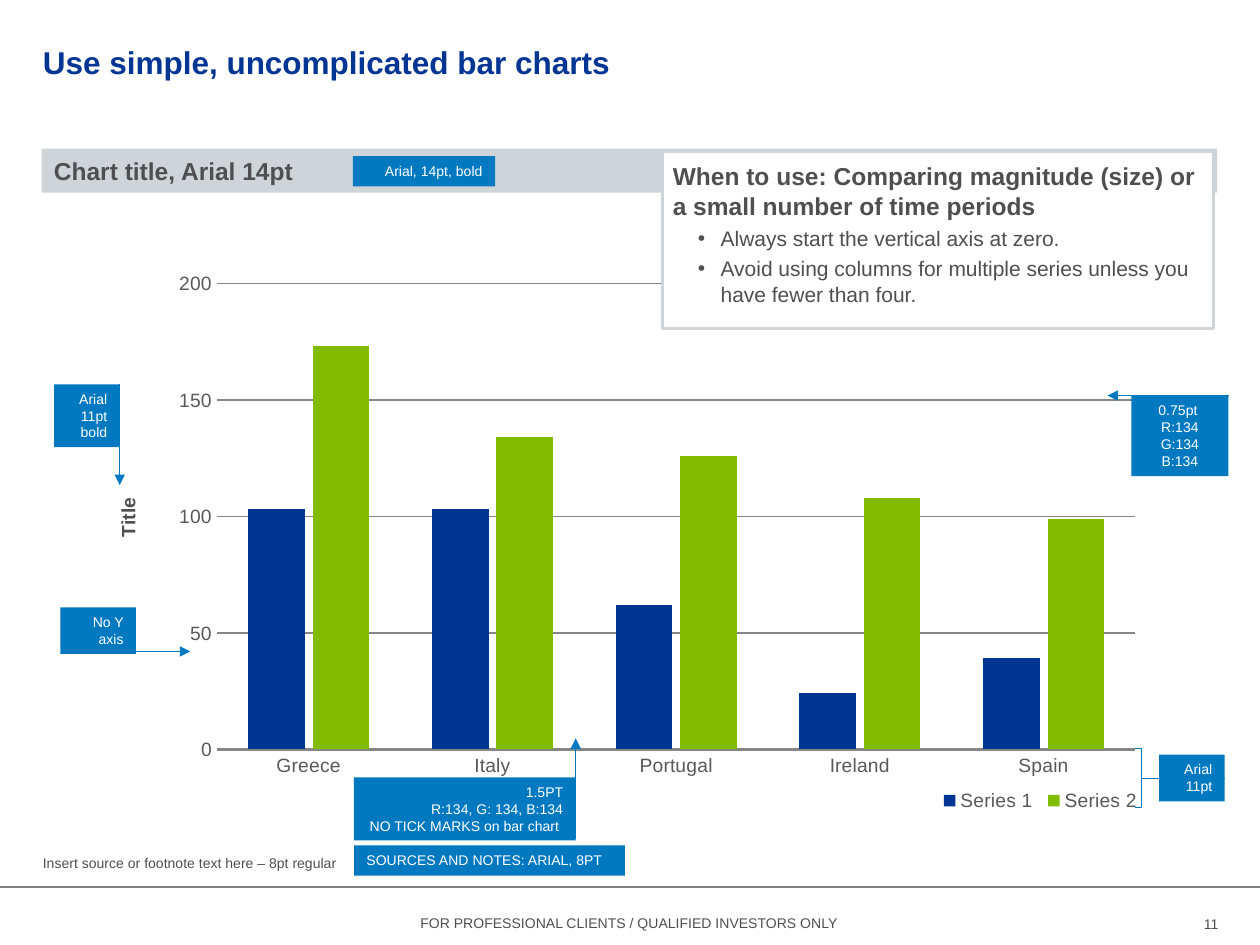
import pptx
import pptx.chart.data
import pptx.dml.color
import pptx.enum.chart
import pptx.enum.shapes
import pptx.enum.text
import pptx.oxml
import pptx.oxml.ns
import pptx.util
from lxml import etree

RGB = pptx.dml.color.RGBColor.from_string
SHAPE = pptx.enum.shapes.MSO_SHAPE
ALIGN = pptx.enum.text.PP_ALIGN
ANCHOR = pptx.enum.text.MSO_ANCHOR
qn = pptx.oxml.ns.qn

THEME = {
    "font": "Arial",
    "navy": "003594", "green": "82BC00", "blue": "0079C1", "white": "FFFFFF",
    "text": "4F4E50", "axis_text": "595959", "axis": "868686",
    "band": "CFD4D8", "rule": "7F7F7F",
    "title": 18, "heading": 14, "bullet": 12, "chart": 11, "small": 8,
}

prs = pptx.Presentation()
prs.slide_width, prs.slide_height = pptx.util.Inches(10), pptx.util.Inches(7.5)
COL, ROW = prs.slide_width / 100, prs.slide_height / 75  # 100 columns, 75 rows


def grid(x, y, w, h):
    return [round(n * unit) for n, unit in zip((x, y, w, h), (COL, ROW, COL, ROW))]


def write(tf, text, size="small", color="text", bold=False, align=ALIGN.LEFT,
          anchor=ANCHOR.TOP, insets=(0.1, 0.05, 0.1, 0.05), before=0, bullet=False, more=False):
    """Write one paragraph per line of text; more=True adds to what is there."""
    tf.word_wrap = True
    tf.auto_size = pptx.enum.text.MSO_AUTO_SIZE.NONE
    tf.vertical_anchor = anchor
    tf.margin_left, tf.margin_top, tf.margin_right, tf.margin_bottom = map(pptx.util.Inches, insets)
    for i, line in enumerate(text.split("\n")):
        p = tf.add_paragraph() if more or i else tf.paragraphs[0]
        p.alignment = align
        p.space_before = pptx.util.Pt(before)
        r = p.add_run()
        r.text = line
        r.font.name, r.font.size, r.font.bold = THEME["font"], pptx.util.Pt(THEME[size]), bold
        r.font.color.rgb = RGB(THEME[color])
        if bullet:
            pPr = p._p.get_or_add_pPr()
            pPr.set("marL", str(pptx.util.Inches(0.38)))
            pPr.set("indent", str(pptx.util.Inches(-0.18)))
            clr = etree.SubElement(pPr, qn("a:buClr"))
            etree.SubElement(clr, qn("a:srgbClr"), val=THEME[color])
            etree.SubElement(pPr, qn("a:buFont"), typeface=THEME["font"])
            etree.SubElement(pPr, qn("a:buChar"), char="•")


# Title
s = prs.slides.add_slide(prs.slide_layouts[5])
sp = s.shapes.title
sp.left, sp.top, sp.width, sp.height = grid(3.4, 1.6, 92.9, 6.6)
write(sp.text_frame, "Use simple, uncomplicated bar charts", size="title", color="navy",
      bold=True, anchor=ANCHOR.MIDDLE, insets=(0, 0, 0, 0))

# Chart
data = pptx.chart.data.CategoryChartData()
data.categories = ["Greece", "Italy", "Portugal", "Ireland", "Spain"]
data.add_series("Series 1", (103, 103, 62, 24, 39))
data.add_series("Series 2", (173, 134, 126, 108, 99))
chart = s.shapes.add_chart(pptx.enum.chart.XL_CHART_TYPE.COLUMN_CLUSTERED,
                           *grid(8, 20.7, 83.8, 45.1), data).chart
chart.has_title = False
chart.font.name, chart.font.size = THEME["font"], pptx.util.Pt(THEME["chart"])
chart.font.color.rgb = RGB(THEME["axis_text"])
plot = chart.plots[0]
plot.gap_width, plot.overlap, plot.vary_by_categories = 111, -14, False
for series, color in zip(plot.series, ("navy", "green")):
    series.format.fill.solid()
    series.format.fill.fore_color.rgb = RGB(THEME[color])

cat, val = chart.category_axis, chart.value_axis
for axis in (cat, val):
    axis.major_tick_mark = axis.minor_tick_mark = pptx.enum.chart.XL_TICK_MARK.NONE
val.minimum_scale, val.maximum_scale, val.major_unit = 0, 200, 50
val.format.line.fill.background()
for line, width in ((cat.format.line, 1.5), (val.major_gridlines.format.line, 0.75)):
    line.color.rgb, line.width = RGB(THEME["axis"]), pptx.util.Pt(width)
p = val.axis_title.text_frame.paragraphs[0]
r = p.add_run()
r.text = "Title"
r.font.name, r.font.size, r.font.bold = THEME["font"], pptx.util.Pt(THEME["chart"]), True
r.font.color.rgb = RGB(THEME["text"])
chart.has_legend = True
chart.legend.position = pptx.enum.chart.XL_LEGEND_POSITION.BOTTOM
chart.legend.include_in_layout = False

# Chart layout, as shares of the chart's size
C = "{http://schemas.openxmlformats.org/drawingml/2006/chart}"
for owner, after, box in (
    (chart._chartSpace.chart.plotArea, None, {"x": 0.11, "y": 0.04, "w": 0.87, "h": 0.82}),
    (chart.legend._element, "legendPos", {"x": 0.79, "y": 0.92, "w": 0.2, "h": 0.06}),
    (val.axis_title._element, "tx", {"x": 0.01, "y": 0.41}),
):
    for old in owner.findall(C + "layout"):
        owner.remove(old)
    layout = etree.Element(C + "layout")
    owner.insert(0 if after is None else owner.index(owner.find(C + after)) + 1, layout)
    manual = etree.SubElement(layout, C + "manualLayout")
    if after is None:
        etree.SubElement(manual, C + "layoutTarget", val="inner")
    for axis in ("x", "y"):
        etree.SubElement(manual, C + axis + "Mode", val="edge")
    for key, share in box.items():
        etree.SubElement(manual, C + key, val=str(share))

# Filled boxes: band, advice panel, callouts
RIGHT, CENTER, LEFT = ALIGN.RIGHT, ALIGN.CENTER, ALIGN.LEFT
callout = {"color": "white"}
boxes = [
    ((3.3, 11.8, 93.3, 3.5), "band", "Chart title, Arial 14pt",
     {"size": "heading", "bold": True, "anchor": ANCHOR.MIDDLE}),
    ((52.6, 12, 43.7, 14.1), "white",
     "When to use: Comparing magnitude (size) or a small number of time periods",
     {"size": "heading", "bold": True, "before": 3, "insets": (0.08, 0.08, 0.04, 0.04)}),
]
boxes += [(box, "blue", text, {"color": "white", "align": align}) for box, text, align in (
    ((28.1, 67.1, 21.5, 2.4), "SOURCES AND NOTES: ARIAL, 8PT", LEFT),
    ((89.8, 31.4, 7.7, 6.4), "0.75pt \nR:134 G:134 B:134", CENTER),
    ((4.3, 30.5, 5.2, 5), "Arial\n11pt\nbold", RIGHT),
    ((28.1, 61.7, 17.6, 5), "1.5PT\nR:134, G: 134, B:134\nNO TICK MARKS on bar chart ", RIGHT),
    ((4.8, 48.2, 6, 3.7), "No Y axis", RIGHT),
    ((28, 12.4, 11.3, 2.4), "Arial, 14pt, bold", RIGHT),
    ((92, 59.9, 5.2, 3.7), "Arial\n11pt", RIGHT),
)]
for box, fill, text, fmt in boxes:
    sp = s.shapes.add_shape(SHAPE.RECTANGLE, *grid(*box))
    sp.shadow.inherit = False
    sp.fill.solid()
    sp.fill.fore_color.rgb = RGB(THEME[fill])
    sp.line.fill.background()
    write(sp.text_frame, text, **fmt)
    if fill == "white":
        sp.line.color.rgb, sp.line.width = RGB(THEME["band"]), pptx.util.Pt(1.75)
        write(sp.text_frame, "Always start the vertical axis at zero.\n"
              "Avoid using columns for multiple series unless you have fewer than four.",
              size="bullet", before=3, insets=fmt["insets"], bullet=True, more=True)

# Bracket around the axis labels and legend
sp = s.shapes.add_shape(SHAPE.RIGHT_BRACKET, *grid(90.1, 59.4, 0.5, 4.7))
sp.adjustments[0] = 0
sp.shadow.inherit = False
sp.fill.background()
sp.line.color.rgb, sp.line.width = RGB(THEME["blue"]), pptx.util.Pt(0.75)

# Footer rule, bracket stem and callout arrows (start, end)
for ends, color, arrow in (
    ((0, 70.4, 100, 70.4), "rule", False),
    ((90.6, 61.8, 97.2, 61.8), "blue", False),
    ((97.5, 31.4, 87.9, 31.4), "blue", True),
    ((9.5, 30.5, 9.5, 38.5), "blue", True),
    ((45.7, 66.6, 45.7, 58.6), "blue", True),
    ((7.4, 51.7, 15.1, 51.7), "blue", True),
):
    cx = s.shapes.add_connector(pptx.enum.shapes.MSO_CONNECTOR.STRAIGHT, *grid(*ends))
    cx.line.color.rgb, cx.line.width = RGB(THEME[color]), pptx.util.Pt(0.75)
    if arrow:
        etree.SubElement(cx.line._get_or_add_ln(), qn("a:tailEnd"), type="triangle")
    etree.SubElement(cx._element.spPr, qn("a:effectLst"))

# Footnote, disclaimer and page number
flush = (0, 0, 0, 0)
for box, text, fmt in (
    ((3.4, 67.8, 92.9, 1.3), "Insert source or footnote text here – 8pt regular", {"insets": flush}),
    ((16.4, 72.1, 67.1, 2.4), "FOR PROFESSIONAL CLIENTS / QUALIFIED INVESTORS ONLY", {"align": CENTER}),
    ((92.6, 72.1, 4.1, 2.4), "11", {"align": RIGHT, "anchor": ANCHOR.MIDDLE, "insets": flush}),
):
    write(s.shapes.add_textbox(*grid(*box)).text_frame, text, **fmt)

prs.save("out.pptx")
